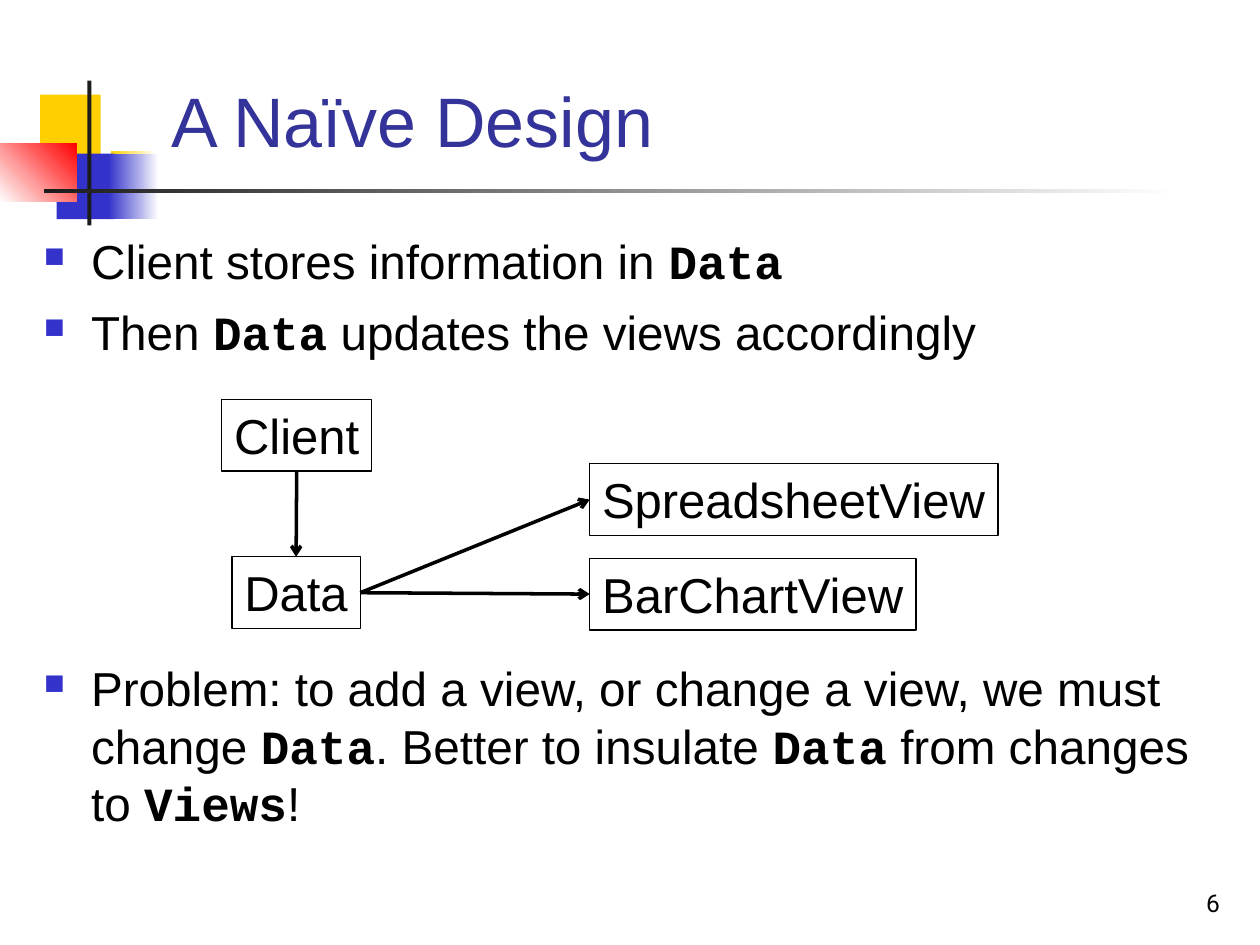
"""Build the slide "A Naïve Design" with its class diagram."""
from lxml import etree
from pptx import Presentation
from pptx.dml.color import RGBColor
from pptx.enum.shapes import MSO_CONNECTOR, MSO_SHAPE
from pptx.enum.text import MSO_ANCHOR, PP_ALIGN
from pptx.oxml.ns import qn
from pptx.util import Pt

RECTANGLE = MSO_SHAPE.RECTANGLE
STRAIGHT = MSO_CONNECTOR.STRAIGHT
TOP, BOTTOM = MSO_ANCHOR.TOP, MSO_ANCHOR.BOTTOM
LEFT, RIGHT = PP_ALIGN.LEFT, PP_ALIGN.RIGHT
BLACK, WHITE, BLUE, YELLOW, DARK = "000000", "FFFFFF", "3333CC", "FFCF01", "1C1C1C"
TOP_SITE, LEFT_SITE, BOTTOM_SITE, RIGHT_SITE = range(4)


def color(value):
    return RGBColor.from_string(value)


def add_text(shape, paragraphs, size, font_color=BLACK, font="Arial", anchor=TOP, align=LEFT, wrap=True):
    frame = shape.text_frame
    for name, value in {"word_wrap": wrap, "vertical_anchor": anchor}.items():
        setattr(frame, name, value)
    for index, runs in enumerate(paragraphs):
        paragraph = frame.add_paragraph() if index else frame.paragraphs[0]
        paragraph.alignment = align
        for position, text in enumerate(runs):
            code = position % 2 == 1
            run = paragraph.add_run()
            run.text = text
            run.font.color.rgb = color(font_color)
            formats = {"size": Pt(size), "bold": code, "name": "Courier New" if code else font}
            for name, value in formats.items():
                setattr(run.font, name, value)
    return frame


presentation = Presentation()
presentation.slide_width, presentation.slide_height = Pt(720), Pt(540)
slide = presentation.slides.add_slide(presentation.slide_layouts[6])
shapes = slide.shapes

decorations = [
    ((23, 54, 34.5, 37.5), [YELLOW], 0),
    ((63.4, 86.4, 26, 37.5), [YELLOW, WHITE], 0),
    ((32.4, 87.8, 33, 37.5), [BLUE], 0),
    ((62, 87.8, 28.8, 37.5), [BLUE, WHITE], 0),
    ((0, 82, 44, 33.2), [WHITE, "FF0000"], 45),
    ((50, 46, 2.2, 82.8), [DARK], 0),
    ((25.2, 108, 648, 2.2), [DARK, WHITE], 0),
]
for bounds, fills, angle in decorations:
    shape = shapes.add_shape(RECTANGLE, *map(Pt, bounds))
    shape.shadow.inherit = False
    shape.line.fill.background()
    if len(fills) == 1:
        shape.fill.solid()
        shape.fill.fore_color.rgb = color(fills[0])
    else:
        shape.fill.gradient()
        shape.fill.gradient_angle = angle
        for stop, value in zip(shape.fill.gradient_stops, fills):
            stop.color.rgb = color(value)

title = shapes.add_textbox(Pt(90.7), Pt(16.6), Pt(613.4), Pt(79.2))
add_text(title, [["A Naïve Design"]], 40, "333399", anchor=BOTTOM)

body = shapes.add_textbox(Pt(18), Pt(126), Pt(687), Pt(357))
points = [
    ["Client stores information in ", "Data"],
    ["Then ", "Data", " updates the views accordingly"],
    ["Problem: to add a view, or change a view, we must change ", "Data",
     ". Better to insulate ", "Data", " from changes to ", "Views", "!"],
]
body_frame = add_text(body, points, 27.2)
body_frame.margin_top = Pt(6.5)
for paragraph, space in zip(body_frame.paragraphs, (0, 8, 171)):
    paragraph.space_before = Pt(space)
    properties = paragraph._p.get_or_add_pPr()
    properties.set("marL", str(Pt(27)))
    properties.set("indent", str(Pt(-27)))
    bullet_color = etree.SubElement(properties, qn("a:buClr"))
    etree.SubElement(bullet_color, qn("a:srgbClr"), val=BLUE)
    etree.SubElement(properties, qn("a:buSzPct"), val="60000")
    etree.SubElement(properties, qn("a:buChar"), char="■")

number = shapes.add_textbox(Pt(554.4), Pt(491.8), Pt(149.8), Pt(36))
add_text(number, [["6"]], 14, font="Roboto", anchor=BOTTOM, align=RIGHT)

classes = {
    "Data": (132.5, 318.2, 73.4),
    "Client": (126.7, 228.2, 85.7),
    "SpreadsheetView": (337, 265, 233.3),
    "BarChartView": (337, 319, 186.5),
}
boxes = {}
for name, (left, top, width) in classes.items():
    box = shapes.add_textbox(Pt(left), Pt(top), Pt(width), Pt(41))
    box.line.color.rgb = color(BLACK)
    box.line.width = Pt(0.75)
    add_text(box, [[name]], 28, wrap=False)
    boxes[name] = box

arrows = [
    ("Client", BOTTOM_SITE, "Data", TOP_SITE),
    ("Data", RIGHT_SITE, "SpreadsheetView", LEFT_SITE),
    ("Data", RIGHT_SITE, "BarChartView", LEFT_SITE),
]
for source, source_site, target, target_site in arrows:
    arrow = shapes.add_connector(STRAIGHT, 0, 0, 0, 0)
    arrow.begin_connect(boxes[source], source_site)
    arrow.end_connect(boxes[target], target_site)
    arrow.line.color.rgb = color(BLACK)
    arrow.line.width = Pt(2)
    etree.SubElement(arrow.line._get_or_add_ln(), qn("a:tailEnd"), type="arrow")
    etree.SubElement(arrow._element.spPr, qn("a:effectLst"))

presentation.save("out.pptx")
